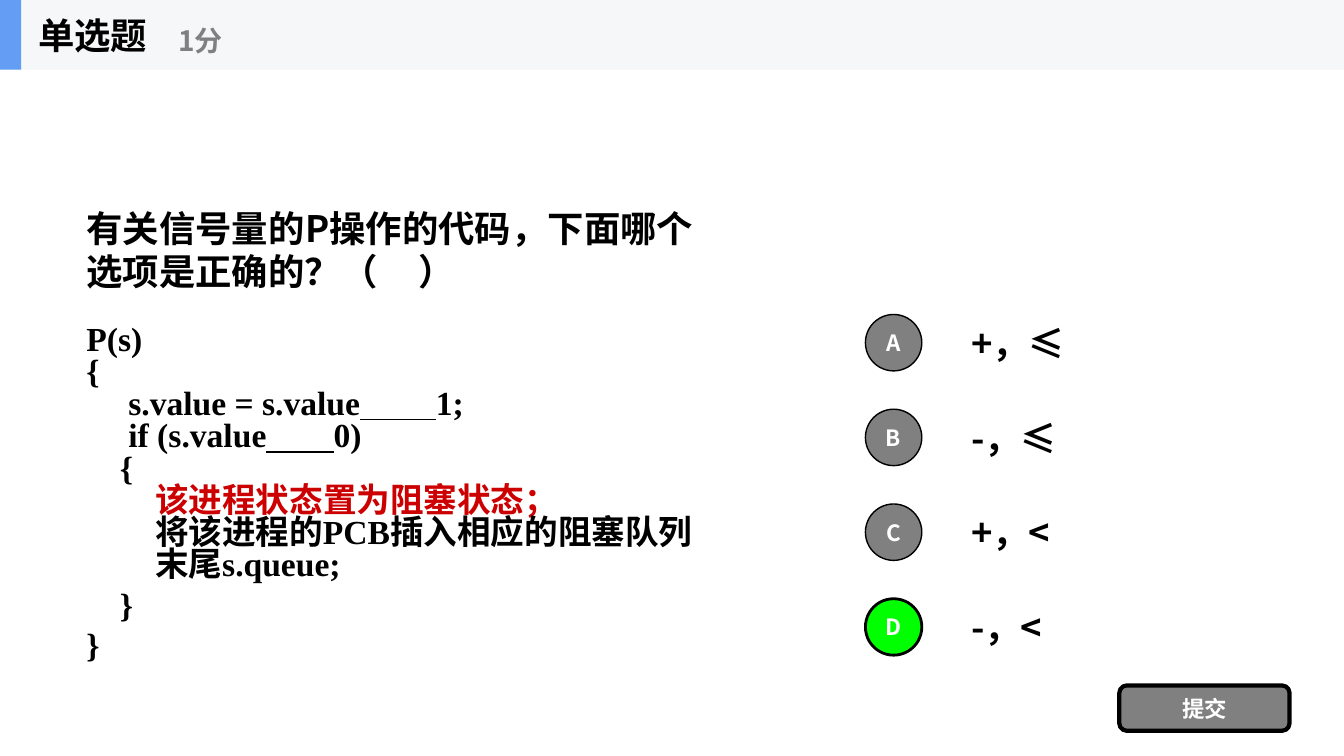
from lxml import etree
from pptx import Presentation
from pptx.dml.color import RGBColor
from pptx.enum import shapes, text
from pptx.oxml import ns
from pptx.util import Inches, Pt

SANS = "Noto Sans CJK SC"
SERIF = "Times New Roman"
COLORS = {
    "black": "000000", "white": "FFFFFF", "gray": "808080", "red": "CC0000",
    "green": "00FF00", "blue": "639EF4", "bar": "F6F7F8",
}
SHAPE = shapes.MSO_SHAPE
CENTER = text.PP_ALIGN.CENTER

QUESTION = "有关信号量的P操作的代码，下面哪个选项是正确的？（     ）"
# Each line: its runs, with every second run an underlined blank
CODE = [
    ["P(s)"],
    ["{"],
    ["     s.value = s.value", " " * 9, "1;"],
    ["     if (s.value", " " * 8, "0)"],
    ["    {"],
    ["         该进程状态置为阻塞状态；"],
    ["         将该进程的PCB插入相应的阻塞队列"],
    ["         末尾s.queue;"],
    ["    }"],
    ["}"],
]
RED_LINE = 5
CLOSING_LINES = (8, 9)
OPTIONS = [("A", "+，≤"), ("B", "-，≤"), ("C", "+，<"), ("D", "-，<")]
ANSWER = "D"


def rgb(name):
    return RGBColor.from_string(COLORS[name])


def add_run(p, content, size=26, font=SANS, color="black", underline=False):
    r = p.add_run()
    r.text = content
    f = r.font
    f.size, f.name, f.bold = Pt(size), font, True
    f.color.rgb = rgb(color)
    if underline:
        f.underline = True
    ea = etree.SubElement(r._r.get_or_add_rPr(), ns.qn("a:ea"))
    ea.set("typeface", SANS)


def add_text(s, x, y, w, h, content, **fmt):
    tb = s.shapes.add_textbox(Inches(x), Inches(y), Inches(w), Inches(h))
    tf = tb.text_frame
    tf.word_wrap = True
    tf.vertical_anchor = text.MSO_ANCHOR.MIDDLE
    add_run(tf.paragraphs[0], content, **fmt)
    return tf


def add_box(s, kind, x, y, w, h, fill, line=0, label=""):
    sp = s.shapes.add_shape(kind, Inches(x), Inches(y), Inches(w), Inches(h))
    sp.shadow.inherit = False
    sp.fill.solid()
    sp.fill.fore_color.rgb = rgb(fill)
    if line:
        sp.line.color.rgb = rgb("black")
        sp.line.width = Pt(line)
    else:
        sp.line.fill.background()
    if label:
        tf = sp.text_frame
        tf.word_wrap = True
        tf.vertical_anchor = text.MSO_ANCHOR.MIDDLE
        p = tf.paragraphs[0]
        p.alignment = CENTER
        add_run(p, label, size=16, color="white")
    return sp


def header(s, x, y, w, h):
    add_box(s, SHAPE.RECTANGLE, x, y, w, h, "bar")
    add_box(s, SHAPE.RECTANGLE, x, y, 0.21, h, "blue")
    add_text(s, x + 0.28, y, 2.08, h, "单选题")
    add_text(s, x + 1.67, y + 0.12, 2.5, 0.56, "1分", size=20, color="gray")


def question(s, x, y, w, h):
    tf = add_text(s, x, y, w, h, QUESTION)
    for i, parts in enumerate(CODE):
        p = tf.add_paragraph()
        if i not in CLOSING_LINES:
            p.line_spacing = 0.8
        if i == 0:
            p.space_before = Pt(23)
        color = "red" if i == RED_LINE else "black"
        for j, part in enumerate(parts):
            add_run(p, part, size=24, font=SERIF, color=color, underline=j % 2 == 1)


def options(s, x, y, w, pitch):
    row_h, d, text_x = 0.7, 0.56, 0.95
    for i, (letter, content) in enumerate(OPTIONS):
        top = y + i * pitch
        right = letter == ANSWER
        add_text(s, x + text_x, top, w - text_x, row_h, content)
        add_box(s, SHAPE.OVAL, x, top + (row_h - d) / 2, d, d,
                "green" if right else "gray", line=2 if right else 1, label=letter)


def submit_button(s, x, y, w, h):
    add_box(s, SHAPE.ROUNDED_RECTANGLE, x, y, w, h, "gray", line=3, label="提交")


def main():
    prs = Presentation()
    prs.slide_width, prs.slide_height = Inches(13.34), Inches(7.5)
    s = prs.slides.add_slide(prs.slide_layouts[6])
    # Question with code on the left, answers on the right
    question(s, 0.76, 1.94, 6.54, 4.75)
    options(s, 8.59, 3.05, 4.61, 0.94)
    submit_button(s, 11.11, 6.8, 1.69, 0.45)
    # Title bar
    header(s, 0, 0, 13.34, 0.69)
    prs.save("out.pptx")


if __name__ == "__main__":
    main()
